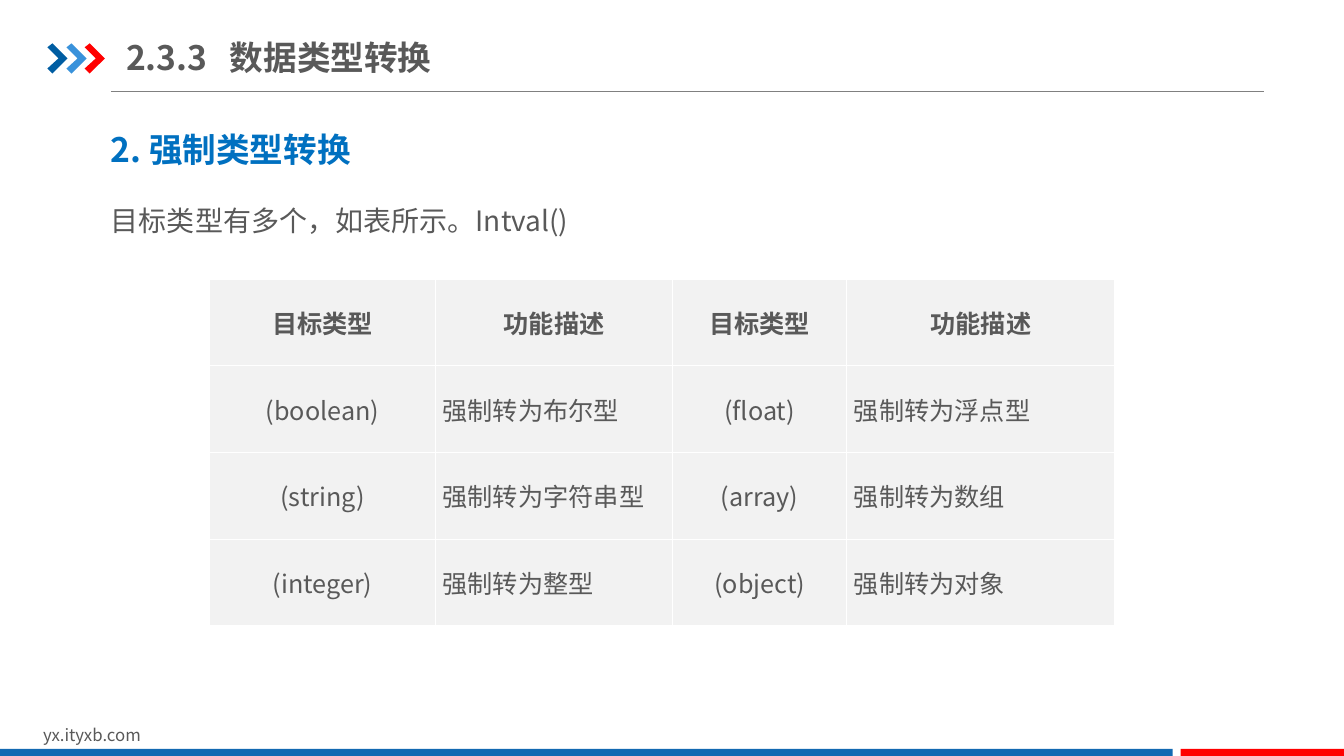
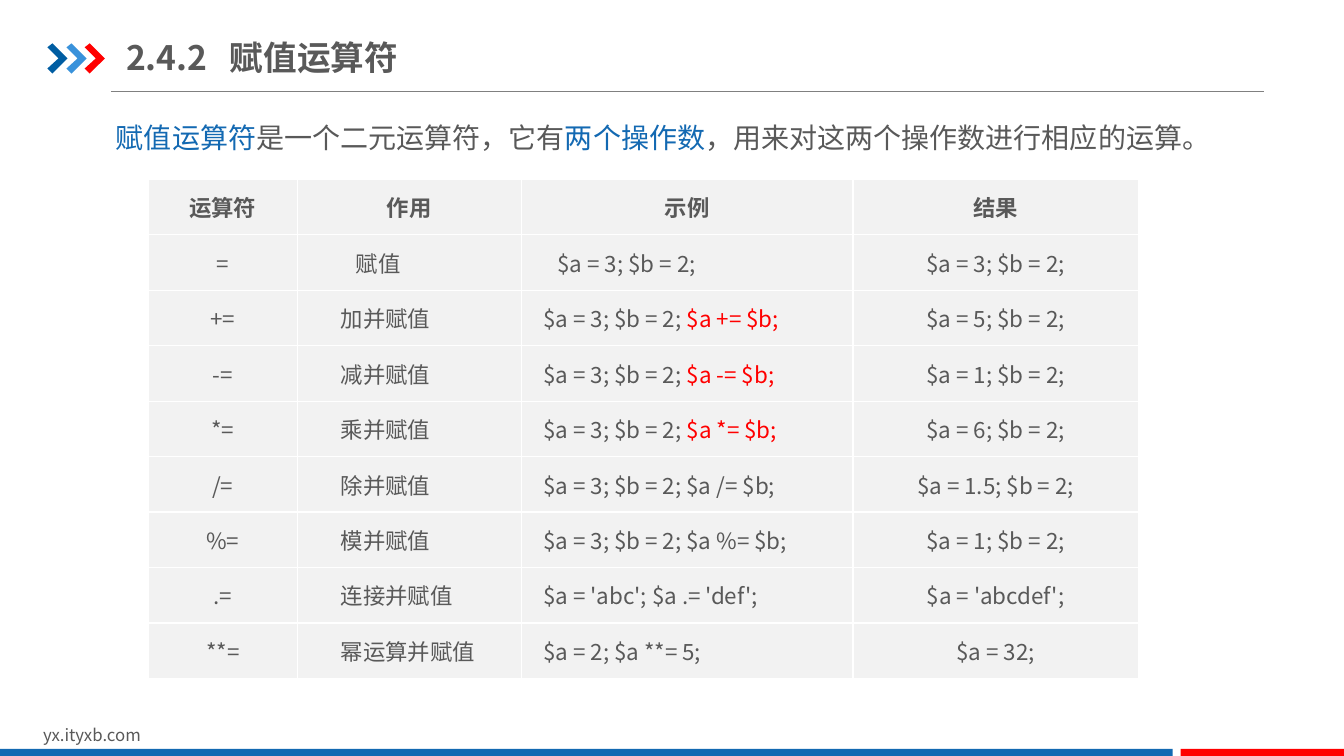
"""Two slides on PHP type casts and assignment operators."""
from lxml.etree import SubElement
from pptx import Presentation
from pptx.dml.color import RGBColor
from pptx.enum.shapes import MSO_CONNECTOR as CONN, MSO_SHAPE as SHAPE
from pptx.enum.text import MSO_ANCHOR as ANCHOR, MSO_AUTO_SIZE as FIT, PP_ALIGN as ALIGN
from pptx.oxml.ns import qn
from pptx.util import Inches, Pt

FONT = "Noto Sans CJK SC"
GREY, BLUE, RED, HEADING_BLUE = "595959", "1369B2", "FF0000", "0070C0"
CHEVRONS = ((47, "005DA2"), (66, "3992DB"), (84, RED))
CHEVRON_OUTLINE = ((0, 47), (5, 43), (20, 58), (5, 73), (0, 68), (11, 58))


def rgb(hex_text):
    """Turn a hex string into a colour."""
    return RGBColor.from_string(hex_text)


def set_all(target, values):
    """Set every attribute named in a dict."""
    for name, value in values.items():
        setattr(target, name, value)


class Deck:
    """Holds the shared style and the slide being built."""

    def __init__(self):
        """Start a widescreen presentation."""
        self.prs = Presentation()
        set_all(self.prs, {"slide_width": Inches(13.33), "slide_height": Inches(7.5)})
        self.s = None

    def add_slide(self, number, title):
        """Add a slide with the shared header and footer."""
        self.s = self.prs.slides.add_slide(self.prs.slide_layouts[1])
        self.rule(1.1, 0.91, 12.54)
        self.chevrons()
        self.text_box(0.33, 7.14, 3.18, 0.3, "yx.ityxb.com", 12)
        self.bar(0, 11.63, BLUE)
        self.bar(11.71, 1.62, RED)
        sp = self.s.shapes.title
        self.place(sp, 1.25, 0.29, 4.26, 0.55)
        set_all(sp.text_frame, {"margin_left": 0, "margin_right": 0,
                                "vertical_anchor": ANCHOR.MIDDLE})
        p = sp.text_frame.paragraphs[0]
        tabs = SubElement(p._p.get_or_add_pPr(), qn("a:tabLst"))
        SubElement(tabs, qn("a:tab"), pos=str(Inches(1.03)), algn="l")
        self.fill_text(p, f"{number}\t{title}", 24, bold=True)

    def place(self, sp, x, y, w, h):
        """Position a text shape and fix its wrapping."""
        set_all(sp, {"left": Inches(x), "top": Inches(y),
                     "width": Inches(w), "height": Inches(h)})
        set_all(sp.text_frame, {"word_wrap": True, "auto_size": FIT.NONE})

    def fill_text(self, p, content, size, color=GREY, bold=False, align=ALIGN.LEFT, indent=0):
        """Fill a paragraph with a string or a list of strings and coloured pairs."""
        p.alignment = align
        if indent:
            p._p.get_or_add_pPr().set("indent", str(Inches(indent)))
        for part in [content] if isinstance(content, str) else content:
            text, part_color = (part, color) if isinstance(part, str) else part
            r = p.add_run()
            r.text = text
            set_all(r.font, {"size": Pt(size), "bold": bold, "name": FONT})
            r.font.color.rgb = rgb(part_color)
            SubElement(r._r.get_or_add_rPr(), qn("a:ea"), typeface=FONT)

    def text_box(self, x, y, w, h, content, size, **style):
        """Add a one-paragraph text box."""
        sp = self.s.shapes.add_textbox(0, 0, 0, 0)
        self.place(sp, x, y, w, h)
        self.fill_text(sp.text_frame.paragraphs[0], content, size, **style)

    def lead(self, x, y, w, content, **style):
        """Put the lead sentence in the body placeholder."""
        sp = self.s.placeholders[1]
        self.place(sp, x, y, w, 0.44)
        p = sp.text_frame.paragraphs[0]
        p.space_before = Pt(0)
        pPr = p._p.get_or_add_pPr()
        pPr.set("marL", "0")
        pPr.set("indent", "0")
        SubElement(pPr, qn("a:buNone"))
        self.fill_text(p, content, 20, **style)

    def rule(self, x1, y, x2):
        """Draw the thin line under the title."""
        line = self.s.shapes.add_connector(
            CONN.STRAIGHT, Inches(x1), Inches(y), Inches(x2), Inches(y))
        line.line.color.rgb = rgb("808080")
        line.line.width = Pt(0.75)
        SubElement(line._element.spPr, qn("a:effectLst"))

    def paint(self, sp, color):
        """Give a shape a flat fill without line or shadow."""
        sp.shadow.inherit = False
        sp.fill.solid()
        sp.fill.fore_color.rgb = rgb(color)
        sp.line.fill.background()

    def bar(self, x, w, color):
        """Draw one part of the bottom band."""
        self.paint(self.s.shapes.add_shape(
            SHAPE.RECTANGLE, Inches(x), Inches(7.43), Inches(w), Inches(0.07)), color)

    def chevrons(self):
        """Draw the three arrows beside the title."""
        group = self.s.shapes.add_group_shape()
        for left, color in CHEVRONS:
            points = [(left + x, y) for x, y in CHEVRON_OUTLINE]
            builder = group.shapes.build_freeform(*points[0], scale=Inches(0.01))
            builder.add_line_segments(points[1:], close=True)
            self.paint(builder.convert_to_shape(), color)

    def table(self, x, y, widths, row_height, rows, size, aligns, indents=None):
        """Add a table; indents gives the first-line indents of a data row."""
        sp = self.s.shapes.add_table(
            len(rows), len(widths), Inches(x), Inches(y),
            Inches(sum(widths)), Inches(row_height * len(rows)))
        tb = sp.table
        set_all(tb, {"first_row": False, "horz_banding": False})
        for column, width in zip(tb.columns, widths):
            column.width = Inches(width)
        for i, row in enumerate(rows):
            tb.rows[i].height = Inches(row_height)
            for j, content in enumerate(row):
                style = {"bold": True, "align": ALIGN.CENTER} if i == 0 else {
                    "align": aligns[j], "indent": indents(i)[j] if indents else 0}
                self.cell(tb.cell(i, j), content, size, style)

    def cell(self, cell, content, size, style):
        """Format and fill one table cell."""
        set_all(cell, {"margin_left": Inches(0.07), "margin_right": Inches(0.07),
                       "margin_top": 0, "margin_bottom": 0,
                       "vertical_anchor": ANCHOR.MIDDLE})
        tcPr = cell._tc.get_or_add_tcPr()
        for side in "LRTB":
            ln = SubElement(tcPr, qn(f"a:ln{side}"), w=str(Pt(1)))
            fill = SubElement(ln, qn("a:solidFill"))
            SubElement(fill, qn("a:srgbClr"), val="FFFFFF")
        cell.fill.solid()
        cell.fill.fore_color.rgb = rgb("F2F2F2")
        self.fill_text(cell.text_frame.paragraphs[0], content, size, **style)


def cast_slide(deck):
    """Build the slide on explicit type casts."""
    deck.add_slide("2.3.3", "数据类型转换")
    deck.text_box(1, 1.23, 4.38, 0.5, "2. 强制类型转换", 24, color=HEADING_BLUE, bold=True)
    deck.lead(1, 1.97, 10.02, "目标类型有多个，如表所示。Intval()")
    rows = [
        ("目标类型", "功能描述") * 2,
        ("(boolean)", "强制转为布尔型", "(float)", "强制转为浮点型"),
        ("(string)", "强制转为字符串型", "(array)", "强制转为数组"),
        ("(integer)", "强制转为整型", "(object)", "强制转为对象"),
    ]
    deck.table(2.08, 2.77, (2.24, 2.35, 1.73, 2.66), 0.86, rows, 18,
               (ALIGN.CENTER, ALIGN.JUSTIFY) * 2)


def assignment_slide(deck):
    """Build the slide on assignment operators."""
    deck.add_slide("2.4.2", "赋值运算符")
    deck.lead(0.76, 1.15, 11.42, [
        ("赋值运算符", BLUE), "是一个二元运算符，它有", ("两个操作数", BLUE),
        "，用来对这两个操作数进行相应的运算。"], align=ALIGN.JUSTIFY, indent=0.29)
    start = "$a = 3; $b = 2;"
    rows = [
        ("运算符", "作用", "示例", "结果"),
        ("=", "赋值", start, start),
        ("+=", "加并赋值", [f"{start} ", ("$a += $b;", RED)], "$a = 5; $b = 2;"),
        ("-=", "减并赋值", [f"{start} ", ("$a -= $b;", RED)], "$a = 1; $b = 2;"),
        ("*=", "乘并赋值", [f"{start} ", ("$a *= $b;", RED)], "$a = 6; $b = 2;"),
        ("/=", "除并赋值", f"{start} $a /= $b;", "$a = 1.5; $b = 2;"),
        ("%=", "模并赋值", f"{start} $a %= $b;", "$a = 1; $b = 2;"),
        (".=", "连接并赋值", "$a = 'abc'; $a .= 'def';", "$a = 'abcdef';"),
        ("**=", "幂运算并赋值", "$a = 2; $a **= 5;", "$a = 32;"),
    ]
    deck.table(1.47, 1.78, (1.48, 2.22, 3.29, 2.83), 0.55, rows, 16,
               (ALIGN.CENTER, ALIGN.JUSTIFY, ALIGN.LEFT, ALIGN.CENTER),
               lambda i: (0, 0.51, 0.29, 0) if i == 1 else (0, 0.36, 0.15, 0))


def main():
    """Build both slides and save them."""
    deck = Deck()
    cast_slide(deck)
    assignment_slide(deck)
    deck.prs.save("out.pptx")


if __name__ == "__main__":
    main()
